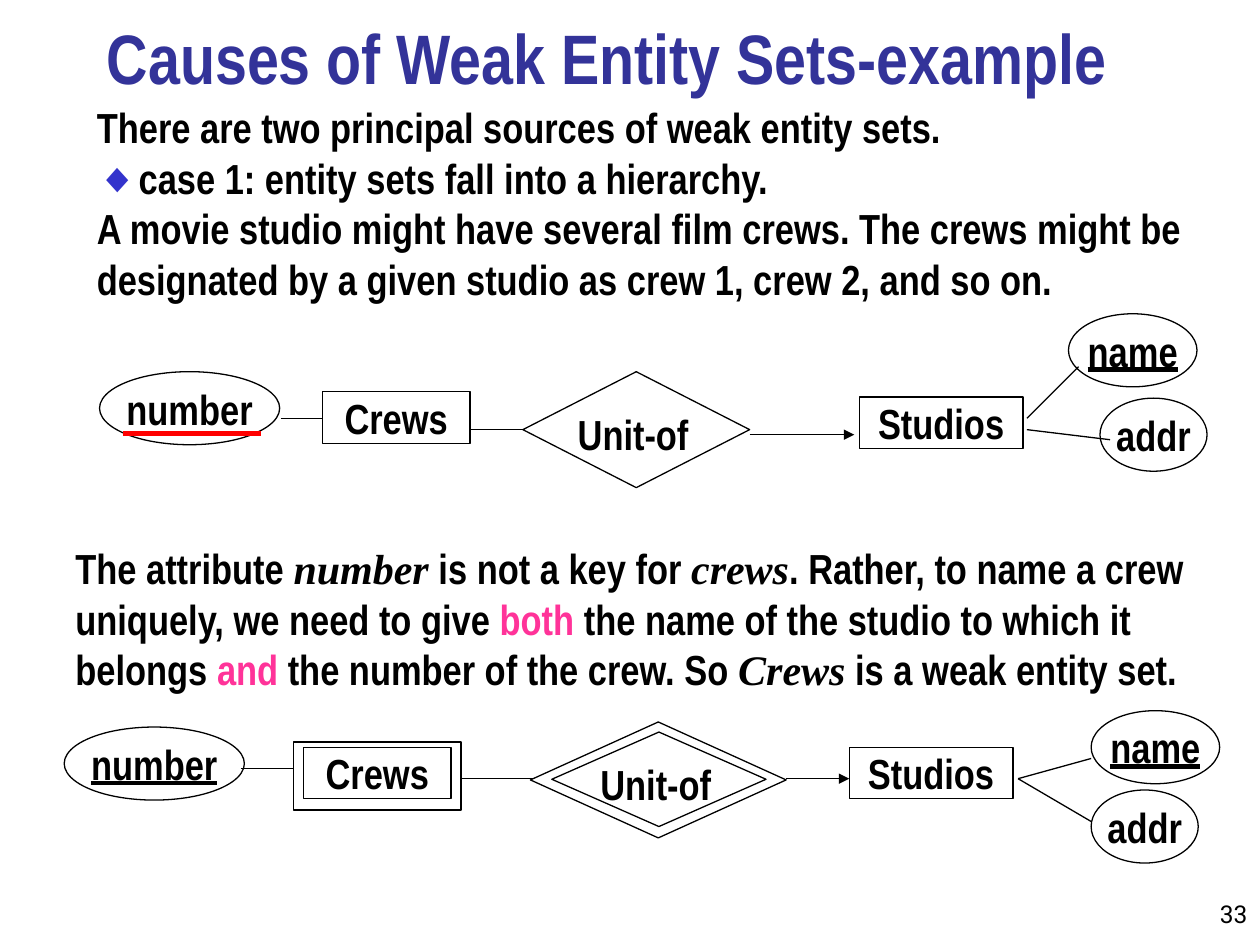
"""Build the weak entity set slide with its two entity-relationship diagrams."""
from dataclasses import dataclass
from typing import NamedTuple

from lxml import etree
from pptx import Presentation
from pptx import util as u
from pptx.dml.color import RGBColor
from pptx.enum import shapes, text
from pptx.oxml import ns

PX = u.Inches(1) // 100


@dataclass(frozen=True)
class Theme:
    ink: str = "000000"
    title: str = "333399"
    bullet: str = "3333CC"
    accent: str = "FF3399"
    mark: str = "FF0000"
    sans: str = "Arial Narrow"
    serif: str = "Times New Roman"
    number_font: str = "Roboto"
    title_size: int = 40
    body_size: int = 24
    number_size: int = 14
    thin: float = 0.75
    thick: float = 3


THEME = Theme()


class Style(NamedTuple):
    color: str = THEME.ink
    font: str = THEME.sans
    size: int = THEME.body_size
    bold: bool = True
    italic: bool = False
    underline: bool = False


class Span(NamedTuple):
    words: str
    style: Style = Style()


class Area(NamedTuple):
    left: int
    top: int
    width: int
    height: int


class Node(NamedTuple):
    kind: str
    area: Area
    label: str = ""
    key: bool = False


class Link(NamedTuple):
    start: tuple[int, int]
    end: tuple[int, int]
    arrow: bool = False
    color: str = THEME.ink
    weight: float = THEME.thin


KINDS = {
    "entity": shapes.MSO_SHAPE.RECTANGLE,
    "relation": shapes.MSO_SHAPE.DIAMOND,
    "attribute": shapes.MSO_SHAPE.OVAL,
}
PLAIN = Style()
TERM = Style(font=THEME.serif, italic=True)
STRONG = Style(color=THEME.accent)

ENTITY, STUDIO = (117, 41), (130, 41)
NUMBER, NAME, ADDR = (143, 58), (102, 58), (85, 58)
LABEL = (125, 40)

NODES = [
    Node("entity", Area(256, 311, *ENTITY), "Crews"),
    Node("relation", Area(415, 295, 180, 92)),
    Node("label", Area(440, 324, *LABEL), "Unit-of"),
    Node("entity", Area(682, 315, *STUDIO), "Studios"),
    Node("attribute", Area(79, 295, *NUMBER), "number"),
    Node("attribute", Area(848, 249, *NAME), "name", True),
    Node("attribute", Area(873, 316, *ADDR), "addr"),
    Node("entity", Area(233, 589, 133, 54)),
    Node("entity", Area(241, 593, *ENTITY), "Crews"),
    Node("relation", Area(421, 573, 203, 92)),
    Node("relation", Area(438, 581, 170, 75)),
    Node("label", Area(458, 602, *LABEL), "Unit-of"),
    Node("entity", Area(674, 593, *STUDIO), "Studios"),
    Node("attribute", Area(51, 577, *NUMBER), "number", True),
    Node("attribute", Area(866, 564, *NAME), "name", True),
    Node("attribute", Area(866, 627, *ADDR), "addr"),
]
LINKS = [
    Link((223, 332), (256, 332)),
    Link((373, 341), (415, 341)),
    Link((595, 345), (678, 345), arrow=True),
    Link((815, 341), (881, 349)),
    Link((856, 291), (815, 332)),
    Link((191, 610), (233, 610)),
    Link((366, 618), (424, 618)),
    Link((624, 618), (674, 618), arrow=True),
    Link((808, 618), (866, 602)),
    Link((866, 652), (808, 618)),
    Link((98, 344), (207, 344), color=THEME.mark, weight=THEME.thick),
]
INTRO = [
    [Span("There are two principal sources of weak entity sets.")],
    [
        Span("◆", Style(color=THEME.bullet)),
        Span("case 1: entity sets fall into a hierarchy."),
    ],
    [Span("A movie studio might have several film crews. The crews might be "
          "designated by a given studio as crew 1, crew 2, and so on.")],
]
REASON = [[
    Span("The attribute "),
    Span("number", TERM),
    Span(" is not a key for "),
    Span("crews", TERM),
    Span(". Rather, to name a crew uniquely, we need to give "),
    Span("both", STRONG),
    Span(" the name of the studio to which it belongs "),
    Span("and", STRONG),
    Span(" the number of the crew. So "),
    Span("Crews", TERM),
    Span(" is a weak entity set."),
]]


def emu(*lengths: int) -> list[int]:
    """Turn px lengths into EMU."""
    return [length * PX for length in lengths]


def apply_style(font, style: Style) -> None:
    """Give a font every property of a style."""
    font.name, font.size = style.font, u.Pt(style.size)
    font.bold, font.italic = style.bold, style.italic
    font.underline = style.underline
    font.color.rgb = RGBColor.from_string(style.color)


def add_text(page, area: Area, paras: list[list[Span]],
             anchor=text.MSO_ANCHOR.TOP, align=text.PP_ALIGN.LEFT) -> None:
    """Add a wrapping text box made of styled spans."""
    frame = page.shapes.add_textbox(*emu(*area)).text_frame
    frame.word_wrap, frame.vertical_anchor = True, anchor
    for index, spans in enumerate(paras):
        para = frame.add_paragraph() if index else frame.paragraphs[0]
        para.alignment = align
        for span in spans:
            run = para.add_run()
            run.text = span.words
            apply_style(run.font, span.style)


def add_node(page, node: Node) -> None:
    """Draw one diagram node with its centred label."""
    if node.kind == "label":
        box = page.shapes.add_textbox(*emu(*node.area))
    else:
        box = page.shapes.add_shape(KINDS[node.kind], *emu(*node.area))
        box.shadow.inherit = False
        box.fill.background()
        box.line.color.rgb = RGBColor.from_string(THEME.ink)
        box.line.width = u.Pt(THEME.thin)
    if not node.label:
        return
    frame = box.text_frame
    frame.margin_left = frame.margin_right = 0
    frame.margin_top = frame.margin_bottom = 0
    frame.word_wrap = node.kind != "attribute"
    is_label = node.kind == "label"
    frame.vertical_anchor = text.MSO_ANCHOR.TOP if is_label else text.MSO_ANCHOR.MIDDLE
    frame.text = node.label
    para = frame.paragraphs[0]
    para.alignment = text.PP_ALIGN.CENTER
    apply_style(para.runs[0].font, PLAIN._replace(underline=node.key))


def add_link(page, link: Link) -> None:
    """Draw one straight line, with an arrowhead where asked."""
    line = page.shapes.add_connector(
        shapes.MSO_CONNECTOR.STRAIGHT, *emu(*link.start, *link.end))
    line.line.color.rgb = RGBColor.from_string(link.color)
    line.line.width = u.Pt(link.weight)
    if link.arrow:
        etree.SubElement(line.line._get_or_add_ln(), ns.qn("a:tailEnd"), type="triangle")
    etree.SubElement(line._element.spPr, ns.qn("a:effectLst"))


def main() -> None:
    """Build and save the deck."""
    deck = Presentation()
    deck.slide_width, deck.slide_height = emu(1000, 750)
    page = deck.slides.add_slide(deck.slide_layouts[6])
    bottom = text.MSO_ANCHOR.BOTTOM
    heading = Style(color=THEME.title, size=THEME.title_size)
    folio = Style(font=THEME.number_font, size=THEME.number_size, bold=False)
    add_text(page, Area(933, 692, 67, 50), [[Span("33", folio)]],
             bottom, text.PP_ALIGN.RIGHT)
    add_text(page, Area(75, 8, 936, 75),
             [[Span("Causes of Weak Entity Sets-example", heading)]], bottom)
    add_text(page, Area(67, 76, 898, 170), INTRO)
    add_text(page, Area(50, 426, 908, 130), REASON)
    for node in NODES:
        add_node(page, node)
    for link in LINKS:
        add_link(page, link)
    deck.save("out.pptx")


if __name__ == "__main__":
    main()
